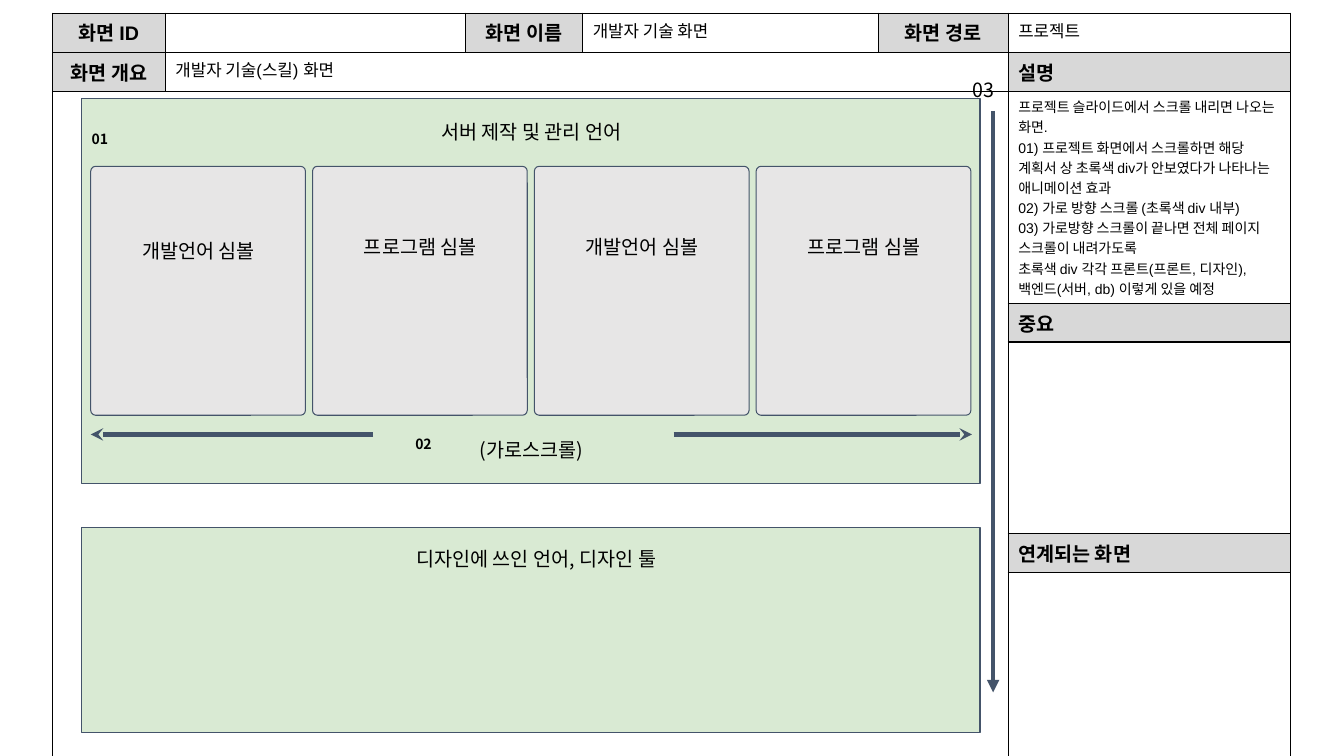
from lxml import etree
from pptx import Presentation
from pptx.dml.color import RGBColor
from pptx.enum.shapes import MSO_CONNECTOR, MSO_SHAPE
from pptx.enum.text import PP_ALIGN as ALIGN
from pptx.oxml.ns import qn
from pptx.util import Inches, Pt

COLORS = {"ink": "000000", "paper": "FFFFFF", "header": "D8D8D8",
          "panel": "D9EAD3", "card": "E7E6E6", "line": "44546A"}
KOREAN = "Noto Sans CJK KR"
COLUMN_WIDTHS = [1.12, 2.98, 1.16, 2.93, 1.29, 2.8]
ROW_HEIGHTS = [0.39, 0.39, 2.1, 0.38, 1.9, 0.38, 1.95]
MERGES = [((1, 1), (1, 4)), ((2, 0), (6, 4))]
HEADERS = {(0, 0): "화면 ID", (0, 2): "화면 이름", (0, 4): "화면 경로",
           (1, 0): "화면 개요", (1, 5): "설명", (3, 5): "중요",
           (5, 5): "연계되는 화면"}
VALUES = {(0, 3): "개발자 기술 화면", (0, 5): "프로젝트",
          (1, 1): "개발자 기술(스킬) 화면"}
DESCRIPTION = [
    "프로젝트 슬라이드에서 스크롤 내리면 나오는 화면.",
    "01) 프로젝트 화면에서 스크롤하면 해당 계획서 상 초록색 div가 안보였다가 나타나는 애니메이션 효과",
    "02) 가로 방향 스크롤 (초록색 div 내부)",
    "03) 가로방향 스크롤이 끝나면 전체 페이지 스크롤이 내려가도록",
    "초록색 div 각각 프론트(프론트, 디자인), 백엔드(서버, db) 이렇게 있을 예정",
]
CARD_LABELS = [("개발언어 심볼", 0.62), ("프로그램 심볼", 0.58),
               ("개발언어 심볼", 0.58), ("프로그램 심볼", 0.58)]


def rgb(name):
    return RGBColor.from_string(COLORS[name])


def write(frame, lines, size=14, bold=False, font=KOREAN, align=ALIGN.LEFT):
    for index, line in enumerate(lines):
        para = frame.add_paragraph() if index else frame.paragraphs[0]
        para.alignment = align
        span = para.add_run()
        span.text = line
        span.font.size = Pt(size)
        span.font.bold = bold
        span.font.name = font
        span.font.color.rgb = rgb("ink")
        etree.SubElement(span.font._element, qn("a:ea"), typeface=KOREAN)


def add_label(page, left, top, width, height, text, **style):
    box = page.shapes.add_textbox(Inches(left), Inches(top),
                                  Inches(width), Inches(height))
    frame = box.text_frame
    frame.word_wrap = True
    frame.margin_left = frame.margin_right = Inches(0.1)
    frame.margin_top = frame.margin_bottom = Inches(0.1)
    write(frame, [text], **style)


def add_block(page, left, top, width, height, fill, rounding=0):
    block = page.shapes.add_shape(MSO_SHAPE.ROUNDED_RECTANGLE, Inches(left),
                                  Inches(top), Inches(width), Inches(height))
    block.adjustments[0] = rounding
    block.shadow.inherit = False
    block.fill.solid()
    block.fill.fore_color.rgb = rgb(fill)
    block.line.color.rgb = rgb("line")
    block.line.width = Pt(0.75)


def add_arrow(page, start, end, head):
    arrow = page.shapes.add_connector(MSO_CONNECTOR.STRAIGHT,
                                      *map(Inches, start + end))
    arrow.line.color.rgb = rgb("line")
    arrow.line.width = Pt(3)
    etree.SubElement(arrow.line._get_or_add_ln(), qn("a:tailEnd"), type=head)
    etree.SubElement(arrow._element.spPr, qn("a:effectLst"))


def format_cell(cell, fill):
    """Draw thin black borders first, since the fill must follow them."""
    properties = cell._tc.get_or_add_tcPr()
    for side in ("lnL", "lnR", "lnT", "lnB"):
        border = etree.SubElement(properties, qn(f"a:{side}"), w=str(Pt(1)))
        solid = etree.SubElement(border, qn("a:solidFill"))
        etree.SubElement(solid, qn("a:srgbClr"), val=COLORS["ink"])
    cell.fill.solid()
    cell.fill.fore_color.rgb = rgb(fill)


def fill_cell(cell, place):
    frame = cell.text_frame
    if place in HEADERS:
        align = ALIGN.LEFT if place[1] == 5 else ALIGN.CENTER
        write(frame, [HEADERS[place]], bold=True, font="Arial", align=align)
    elif place in VALUES:
        write(frame, [VALUES[place]], size=12, font="Arial")
    elif place == (2, 5):
        write(frame, DESCRIPTION, size=10, font="Arial")
    else:
        etree.SubElement(frame.paragraphs[0]._p, qn("a:endParaRPr"), sz="1000")


def add_form(page, left, top):
    """Table with the screen details and the notes column."""
    table = page.shapes.add_table(
        len(ROW_HEIGHTS), len(COLUMN_WIDTHS), Inches(left), Inches(top),
        Inches(sum(COLUMN_WIDTHS)), Inches(sum(ROW_HEIGHTS))).table
    table.first_row = table.horz_banding = False
    for column, width in zip(table.columns, COLUMN_WIDTHS):
        column.width = Inches(width)
    for row, height in zip(table.rows, ROW_HEIGHTS):
        row.height = Inches(height)
    for first, last in MERGES:
        table.cell(*first).merge(table.cell(*last))
    for row in range(len(ROW_HEIGHTS)):
        for column in range(len(COLUMN_WIDTHS)):
            place = (row, column)
            cell = table.cell(*place)
            format_cell(cell, "header" if place in HEADERS else "paper")
            fill_cell(cell, place)


def add_server_panel(page, left, top, width, height):
    add_block(page, left, top, width, height, "panel")
    middle = left + width / 2
    add_label(page, middle - 1.23, top + 0.11, 2.47, 0.44,
              "서버 제작 및 관리 언어", align=ALIGN.CENTER)
    add_label(page, left, top + 0.23, 0.59, 0.37, "01", size=10, bold=True)

    first, pitch, card_width = left + 0.09, 2.2, 2.13
    for index, (text, drop) in enumerate(CARD_LABELS):
        card_left, card_top = first + index * pitch, top + 0.67
        add_block(page, card_left, card_top, card_width, 2.47, "card", 0.023)
        add_label(page, card_left + 0.24, card_top + drop, 1.66, 0.44, text,
                  align=ALIGN.CENTER)

    scroll = top + 3.33
    add_arrow(page, (left + 2.89, scroll), (first, scroll), "stealth")
    add_arrow(page, (left + 5.87, scroll), (left + width - 0.08, scroll),
              "stealth")
    add_label(page, middle - 1.23, top + 3.26, 2.47, 0.44, "(가로스크롤)",
              align=ALIGN.CENTER)
    add_label(page, left + 3.21, top + 3.26, 0.59, 0.37, "02", size=10,
              bold=True)


def add_design_panel(page, left, top, width, height):
    add_block(page, left, top, width, height, "panel")
    add_label(page, left + 2.56, top + 0.1, 3.9, 0.44,
              "디자인에 쓰인 언어, 디자인 툴", align=ALIGN.CENTER)


def add_page_scroll(page, center, top, height):
    add_label(page, center - 0.3, top - 0.43, 0.45, 0.44, "03")
    add_arrow(page, (center, top), (center, top + height), "triangle")


def main():
    deck = Presentation()
    deck.slide_width, deck.slide_height = Inches(13.33), Inches(7.5)
    page = deck.slides.add_slide(deck.slide_layouts[6])
    add_form(page, 0.52, 0.13)
    add_server_panel(page, 0.81, 0.98, 8.91, 3.82)
    add_design_panel(page, 0.81, 5.23, 8.91, 2.04)
    add_page_scroll(page, 9.85, 1.1, 5.77)
    deck.save("out.pptx")


if __name__ == "__main__":
    main()
